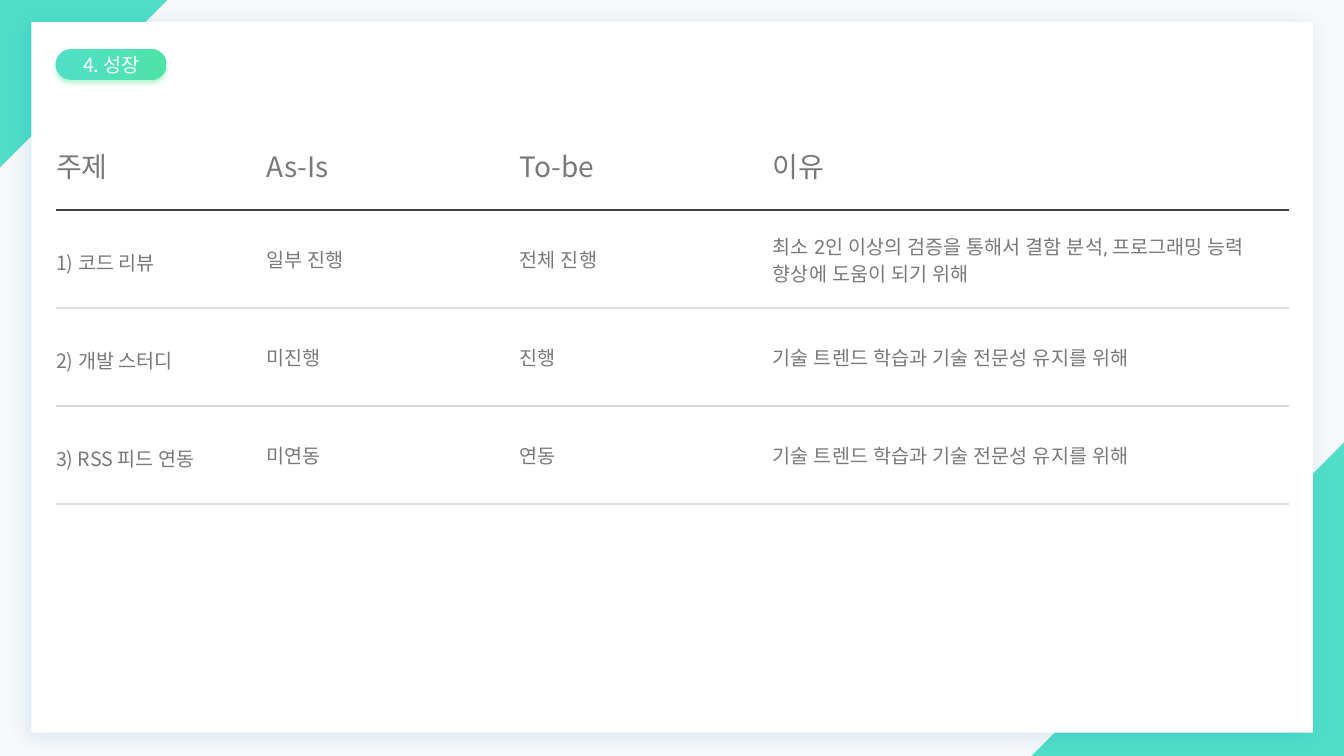
from lxml.etree import SubElement
from pptx import Presentation
from pptx.dml.color import RGBColor
from pptx.enum.shapes import MSO_SHAPE as Preset
from pptx.enum.text import MSO_ANCHOR as Anchor, MSO_AUTO_SIZE as AutoSize, PP_ALIGN as Align
from pptx.oxml.ns import qn
from pptx.util import Inches, Pt

COLORS = {
    "background": "F7F9FA", "corner": "50DEC8", "card": "FFFFFF", "badge_end": "4EE4A7",
    "card_shadow": "0070C0", "badge_shadow": "00DA5A", "badge_text": "FFFFFF",
    "text": "797979", "header_rule": "424242", "rule": "DDDDDD", "dark_rule": "D6D6D6",
}
SANS, BODY = "Noto Sans CJK KR", "Roboto"
HEADER_SIZE, BODY_SIZE = 20, 14

GOALS = [
    ("주제", "As-Is", "To-be", "이유"),
    ("1) 코드 리뷰", "일부 진행", "전체 진행",
     "최소 2인 이상의 검증을 통해서 결함 분석, 프로그래밍 능력 향상에 도움이 되기 위해"),
    ("2) 개발 스터디", "미진행", "진행", "기술 트렌드 학습과 기술 전문성 유지를 위해"),
    ("3) RSS 피드 연동", "미연동", "연동", "기술 트렌드 학습과 기술 전문성 유지를 위해"),
]
# Colour and width of the line under each row
RULES = [("header_rule", 2), ("rule", 1), ("dark_rule", 1), ("rule", 1)]


def rgb(color):
    return RGBColor.from_string(COLORS[color])


class GrowthSlide:
    """Draws on one blank slide; lengths are percentages of its width and height."""

    def __init__(self, deck):
        self.width, self.height = deck.slide_width, deck.slide_height
        self.slide = deck.slides.add_slide(deck.slide_layouts[6])
        self.slide.background.fill.solid()
        self.slide.background.fill.fore_color.rgb = rgb("background")

    def x(self, share):
        return round(self.width * share / 100)

    def y(self, share):
        return round(self.height * share / 100)

    def box(self, left, top, width, height):
        return self.x(left), self.y(top), self.x(width), self.y(height)

    def corner(self, *points):
        start, *others = [(self.x(x), self.y(y)) for x, y in points]
        outline = self.slide.shapes.build_freeform(*start)
        outline.add_line_segments(others)
        triangle = outline.convert_to_shape()
        triangle.shadow.inherit = False
        triangle.fill.solid()
        triangle.fill.fore_color.rgb = rgb("corner")
        triangle.line.fill.background()

    def panel(self, parent, preset, place, colors, shadow):
        """Add a borderless shape; two colours make a left-to-right gradient."""
        panel = parent.shapes.add_shape(preset, *self.box(*place))
        if len(colors) == 1:
            panel.fill.solid()
            panel.fill.fore_color.rgb = rgb(colors[0])
        else:
            panel.fill.gradient()
            panel.fill.gradient_angle = 0
            for stop, color in zip(panel.fill.gradient_stops, colors):
                stop.color.rgb = rgb(color)
        panel.line.fill.background()
        self.cast_shadow(panel, *shadow)
        return panel

    def cast_shadow(self, panel, color, opacity, blur, distance, angle):
        panel.shadow.inherit = False
        effects = panel._element.spPr.find(qn("a:effectLst"))
        outer = SubElement(effects, qn("a:outerShdw"), blurRad=str(Pt(blur)),
                           dist=str(Pt(distance)), dir=str(angle * 60000),
                           algn="ctr", rotWithShape="0")
        tint = SubElement(outer, qn("a:srgbClr"), val=COLORS[color])
        SubElement(tint, qn("a:alpha"), val=str(opacity * 1000))

    def set_words(self, frame, words, size, font, color):
        frame.text = words
        line = frame.paragraphs[0]
        for run in line.runs:
            run.font.size = Pt(size)
            run.font.name = font
            run.font.color.rgb = rgb(color)
            SubElement(run._r.get_or_add_rPr(), qn("a:ea"), typeface=font)
        return line

    def badge(self, words):
        badge = self.slide.shapes.add_group_shape()
        pill = self.panel(badge, Preset.ROUNDED_RECTANGLE, (4.13, 6.53, 8.25, 4),
                          ("corner", "badge_end"), ("badge_shadow", 25, 3, 3, 90))
        pill.adjustments[0] = 0.5
        label = badge.shapes.add_textbox(*self.box(4.88, 6.4, 6.83, 4.27)).text_frame
        label.margin_left = label.margin_right = Inches(0.05)
        label.margin_top = label.margin_bottom = Inches(0.05)
        label.word_wrap = True
        label.auto_size = AutoSize.SHAPE_TO_FIT_TEXT
        label.vertical_anchor = Anchor.MIDDLE
        self.set_words(label, words, BODY_SIZE, SANS, "badge_text").alignment = Align.CENTER

    def border(self, cell, side, rule=None):
        edge = SubElement(cell._tc.get_or_add_tcPr(), qn(f"a:ln{side}"))
        if rule is None:
            SubElement(edge, qn("a:noFill"))
            return
        color, width = rule
        edge.set("w", str(Pt(width)))
        fill = SubElement(edge, qn("a:solidFill"))
        SubElement(fill, qn("a:srgbClr"), val=COLORS[color])

    def goal_table(self, left, top, column_widths, row_height):
        place = self.box(left, top, sum(column_widths), row_height * len(GOALS))
        table = self.slide.shapes.add_table(len(GOALS), len(column_widths), *place).table
        table.first_row = table.horz_banding = False
        for column, width in zip(table.columns, column_widths):
            column.width = self.x(width)
        for r, goal in enumerate(GOALS):
            table.rows[r].height = self.y(row_height)
            for c, words in enumerate(goal):
                cell = table.cell(r, c)
                cell.margin_left = cell.margin_right = 0
                cell.margin_top = cell.margin_bottom = 0
                cell.vertical_anchor = Anchor.MIDDLE
                self.border(cell, "L")
                self.border(cell, "R")
                self.border(cell, "T", RULES[r - 1] if r else None)
                self.border(cell, "B", RULES[r])
                cell.fill.background()
                size = BODY_SIZE if r else HEADER_SIZE
                font = BODY if r and c else SANS
                self.set_words(cell.text_frame, words, size, font, "text").line_spacing = 1.2


def main():
    deck = Presentation()
    deck.slide_width, deck.slide_height = Inches(13.33), Inches(7.5)
    growth = GrowthSlide(deck)
    growth.corner((0, 0), (12.45, 0), (0, 22.13))
    growth.corner((100, 100), (76.74, 100), (100, 58.53))
    growth.panel(growth.slide, Preset.RECTANGLE, (2.33, 2.93, 95.35, 94),
                 ("card",), ("card_shadow", 15, 15, 3, 135))
    growth.badge("4. 성장")
    growth.goal_table(4.17, 14.8, (15.68, 18.83, 18.83, 38.41), 12.97)
    deck.save("out.pptx")


if __name__ == "__main__":
    main()
